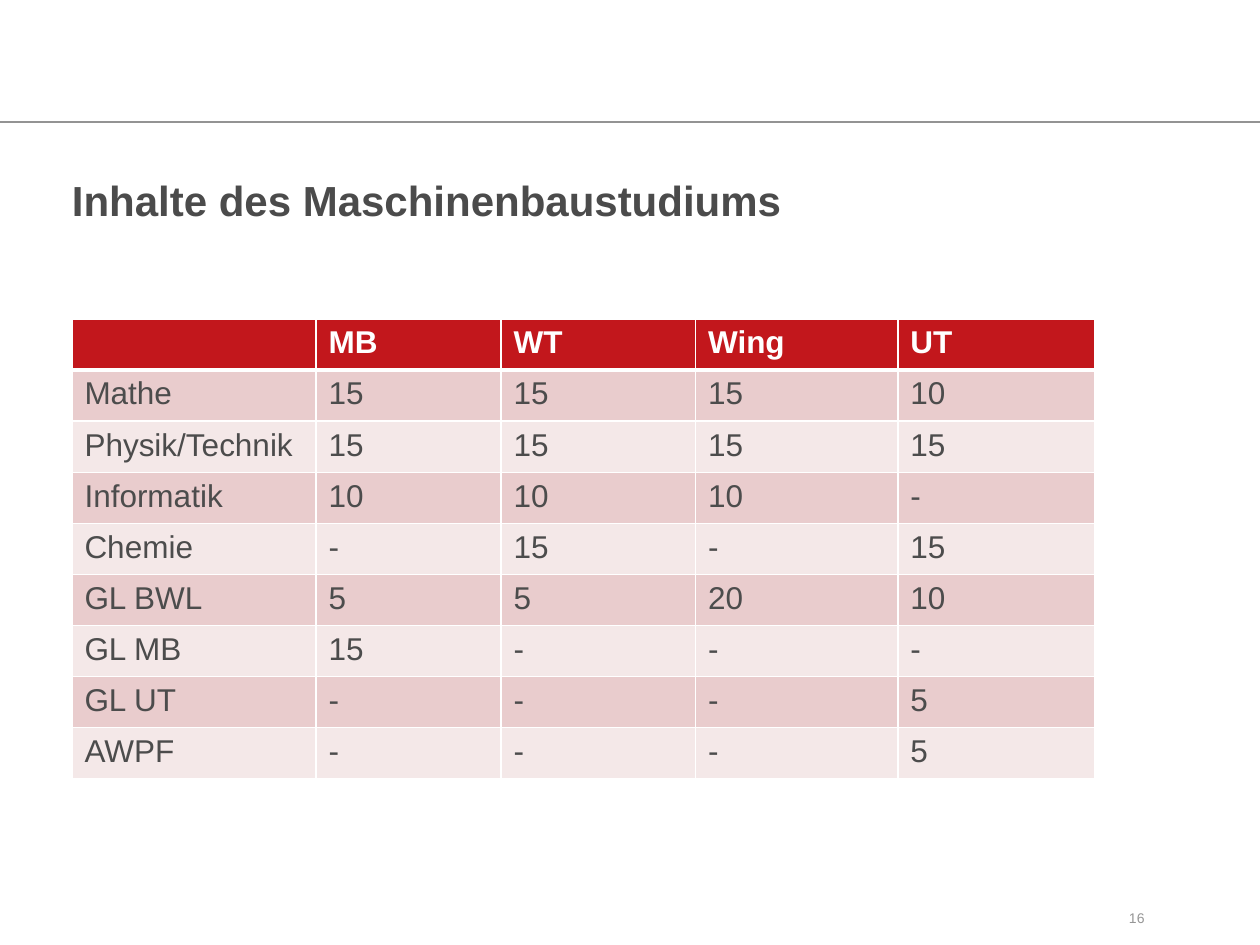
from lxml import etree
from pptx import Presentation
from pptx.dml.color import RGBColor
from pptx.enum.shapes import MSO_CONNECTOR
from pptx.enum.text import MSO_ANCHOR, PP_ALIGN
from pptx.oxml.ns import qn
from pptx.util import Cm, Pt

STRAIGHT = MSO_CONNECTOR.STRAIGHT
TOP = MSO_ANCHOR.TOP
LEFT = PP_ALIGN.LEFT
COLORS = {
    "white": "FFFFFF",
    "red": "C2171C",
    "rose": "E9CCCD",
    "pale": "F4E8E8",
    "title": "4B4B4B",
    "text": "4C4C4C",
    "number": "969696",
}
ROWS = [
    ["", "MB", "WT", "Wing", "UT"],
    ["Mathe", "15", "15", "15", "10"],
    ["Physik/Technik", "15", "15", "15", "15"],
    ["Informatik", "10", "10", "10", "-"],
    ["Chemie", "-", "15", "-", "15"],
    ["GL BWL", "5", "5", "20", "10"],
    ["GL MB", "15", "-", "-", "-"],
    ["GL UT", "-", "-", "-", "5"],
    ["AWPF", "-", "-", "-", "5"],
]
COLUMN_WIDTHS = [4.92, 3.73, 3.92, 4.08, 3.97]
ROW_HEIGHT = 1.03


def write(frame, text, size, color, bold=False):
    para = frame.paragraphs[0]
    para.alignment = LEFT
    span = para.add_run()
    span.text = text
    span.font.name = "Arial"
    span.font.size = Pt(size)
    span.font.bold = bold
    span.font.color.rgb = RGBColor.from_string(COLORS[color])
    return para


def add_border(cell, side, points):
    line = etree.SubElement(cell._tc.get_or_add_tcPr(), qn(f"a:ln{side}"), w=str(Pt(points)))
    fill = etree.SubElement(line, qn("a:solidFill"))
    etree.SubElement(fill, qn("a:srgbClr"), val=COLORS["white"])


deck = Presentation()
deck.slide_width = Cm(25.4)
deck.slide_height = Cm(19.05)
page = deck.slides.add_slide(deck.slide_layouts[5])

rule = page.shapes.add_connector(STRAIGHT, Cm(0), Cm(2.46), Cm(25.4), Cm(2.46))
rule.line.width = Pt(1.1)
rule.line.color.rgb = RGBColor.from_string(COLORS["text"])
rule_color = rule._element.spPr.find(".//" + qn("a:srgbClr"))
etree.SubElement(rule_color, qn("a:alpha"), val="60000")
etree.SubElement(rule._element.spPr, qn("a:effectLst"))

title = page.shapes.title
title.left, title.top, title.width, title.height = Cm(1.45), Cm(3.63), Cm(20.62), Cm(2.11)
number = page.shapes.add_textbox(Cm(22.76), Cm(18.34), Cm(2.03), Cm(0.71))
for box in (title, number):
    frame = box.text_frame
    frame.word_wrap = True
    frame.vertical_anchor = TOP
    frame.margin_left = frame.margin_top = frame.margin_right = frame.margin_bottom = 0
heading = write(title.text_frame, "Inhalte des Maschinenbaustudiums", 24, "title", True)
heading.line_spacing = 0.9
write(number.text_frame, "16", 8, "number")

table = page.shapes.add_table(
    len(ROWS), len(COLUMN_WIDTHS), Cm(1.45), Cm(6.43),
    Cm(sum(COLUMN_WIDTHS)), Cm(ROW_HEIGHT * len(ROWS)),
).table
for column, width in zip(table.columns, COLUMN_WIDTHS):
    column.width = Cm(width)
for row_index, values in enumerate(ROWS):
    table.rows[row_index].height = Cm(ROW_HEIGHT)
    header = row_index == 0
    fill_name = "red" if header else ("pale", "rose")[row_index % 2]
    for column_index, value in enumerate(values):
        cell = table.cell(row_index, column_index)
        add_border(cell, "L", 1)
        add_border(cell, "R", 1)
        add_border(cell, "T", 3 if row_index == 1 else 1)
        add_border(cell, "B", 3 if header else 1)
        cell.fill.solid()
        cell.fill.fore_color.rgb = RGBColor.from_string(COLORS[fill_name])
        if value:
            write(cell.text_frame, value, 18, "white" if header else "text", header)

deck.save("out.pptx")
